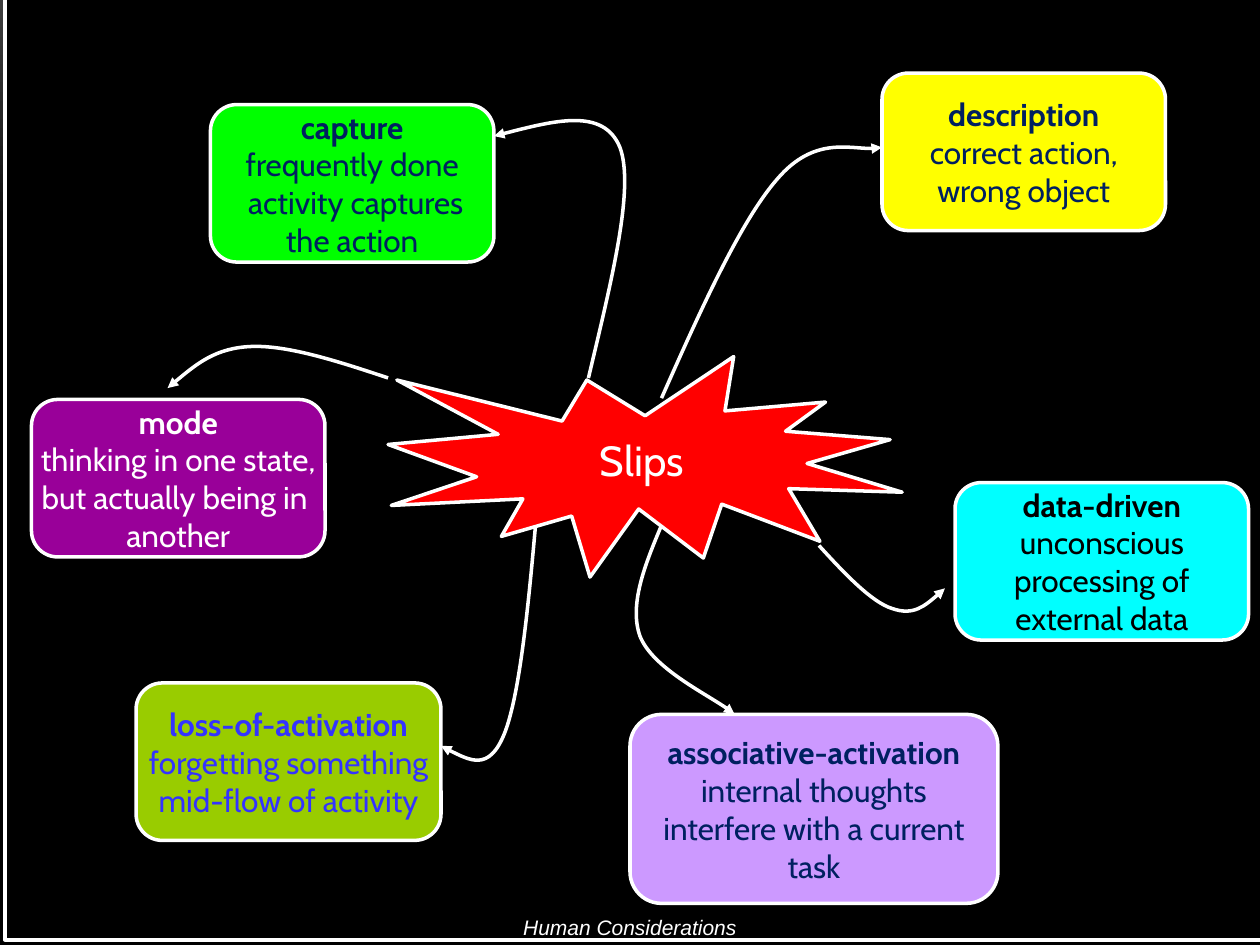
from dataclasses import dataclass

from lxml.etree import SubElement
from pptx import Presentation
from pptx.dml.color import RGBColor
from pptx.enum.shapes import MSO_SHAPE as Shape
from pptx.enum.text import MSO_ANCHOR as Anchor, PP_ALIGN as Align
from pptx.oxml.ns import qn
from pptx.util import Inches, Pt


@dataclass(frozen=True)
class Theme:
    white: str = "FFFFFF"
    black: str = "000000"
    charcoal: str = "3F3F3F"
    red: str = "FF0000"
    green: str = "00FF00"
    yellow: str = "FFFF00"
    cyan: str = "00FFFF"
    lilac: str = "CC99FF"
    olive: str = "99CC00"
    purple: str = "990099"
    navy: str = "002060"
    blue: str = "3333FF"
    main_font: str = "Cabin"
    footer_font: str = "Arial"
    center_size: int = 24
    box_size: int = 18
    footer_size: int = 12
    line_width: int = 2


class SlideBuilder:
    def __init__(self, slide, theme):
        self.slide = slide
        self.theme = theme

    def background(self):
        fill = self.slide.background.fill
        fill.gradient()
        fill.gradient_angle = 270
        colors = (self.theme.charcoal, self.theme.black)
        for stop, color, position in zip(fill.gradient_stops, colors, (0, 0.31)):
            stop.color.rgb = RGBColor.from_string(color)
            stop.position = position

    def outline(self, shape):
        shape.shadow.inherit = False
        shape.line.color.rgb = RGBColor.from_string(self.theme.white)
        shape.line.width = Pt(self.theme.line_width)

    def panel(self, shapes, kind, bounds, fill):
        shape = shapes.add_shape(kind, *map(Inches, bounds))
        self.outline(shape)
        shape.fill.solid()
        shape.fill.fore_color.rgb = RGBColor.from_string(fill)
        return shape

    def label(self, shape, text, font, size, color, heading=False, italic=False, wrap=False):
        frame = shape.text_frame
        frame.text = text
        frame.word_wrap = wrap
        frame.vertical_anchor = Anchor.MIDDLE
        for index, paragraph in enumerate(frame.paragraphs):
            paragraph.alignment = Align.CENTER
            for run in paragraph.runs:
                run.font.name = font
                run.font.size = Pt(size)
                run.font.bold = heading and index == 0
                run.font.italic = italic
                run.font.color.rgb = RGBColor.from_string(color)

    def starburst(self, bounds, text):
        theme = self.theme
        shape = self.panel(self.slide.shapes, Shape.EXPLOSION1, bounds, theme.red)
        self.label(shape, text, theme.main_font, theme.center_size, theme.white)

    def curved_arrow(self, shapes, points):
        start, *rest = [(Inches(x), Inches(y)) for x, y in points]
        builder = shapes.build_freeform(*start, scale=1.0)
        builder.add_line_segments(rest, close=False)
        shape = builder.convert_to_shape()
        self.outline(shape)
        shape.fill.background()
        outline = next(shape.element.iter(qn("a:ln")))
        SubElement(outline, qn("a:tailEnd"), type="triangle")
        curve_path = next(shape.element.iter(qn("a:path")))
        segments = curve_path.findall(qn("a:lnTo"))
        for first in range(0, len(segments), 3):
            curve = SubElement(curve_path, qn("a:cubicBezTo"))
            for segment in segments[first:first + 3]:
                curve.append(segment[0])
                curve_path.remove(segment)

    def slip(self, bounds, fill, color, text, points):
        theme = self.theme
        shapes = self.slide.shapes.add_group_shape().shapes
        self.curved_arrow(shapes, points)
        box = self.panel(shapes, Shape.ROUNDED_RECTANGLE, bounds, fill)
        self.label(box, text, theme.main_font, theme.box_size, color, heading=True)

    def footer(self, bounds, text):
        theme = self.theme
        box = self.slide.shapes.add_textbox(*map(Inches, bounds))
        self.label(box, text, theme.footer_font, theme.footer_size, theme.white,
                   italic=True, wrap=True)


def main():
    theme = Theme()
    slips = [
        ((1.67, 0.83, 2.25, 1.25), theme.green, theme.navy,
         "capture\nfrequently done\n activity captures\nthe action",
         [(4.67, 3), (4.85, 2.24), (5.04, 1.49), (4.92, 1.17),
          (4.79, 0.85), (4.35, 0.97), (3.92, 1.08)]),
        ((7, 0.58, 2.25, 1.25), theme.yellow, theme.navy,
         "description\ncorrect action,\nwrong object",
         [(5.25, 3.16), (5.56, 2.46), (5.88, 1.75), (6.17, 1.42),
          (6.46, 1.08), (6.85, 1.21), (7, 1.17)]),
        ((7.58, 3.83, 2.33, 1.25), theme.cyan, theme.black,
         "data-driven\nunconscious\nprocessing of\nexternal data",
         [(6.5, 4.33), (6.71, 4.56), (6.92, 4.78), (7.08, 4.83),
          (7.25, 4.89), (7.38, 4.78), (7.5, 4.67)]),
        ((5, 5.67, 2.92, 1.5), theme.lilac, theme.navy,
         "associative-activation\ninternal thoughts\ninterfere with a current\ntask",
         [(5.25, 4.17), (5.12, 4.48), (4.99, 4.8), (5.08, 5.05),
          (5.18, 5.3), (5.71, 5.56), (5.83, 5.67)]),
        ((1.08, 5.42, 2.42, 1.25), theme.olive, theme.blue,
         "loss-of-activation\nforgetting something\nmid-flow of activity",
         [(4.25, 4.17), (4.19, 4.85), (4.12, 5.54), (4, 5.83),
          (3.88, 6.12), (3.69, 6.02), (3.5, 5.92)]),
        ((0.25, 3.17, 2.33, 1.25), theme.purple, theme.white,
         "mode\nthinking in one state,\nbut actually being in \nanother",
         [(3.08, 3), (2.69, 2.87), (2.29, 2.74), (2, 2.75),
          (1.71, 2.76), (1.52, 2.92), (1.33, 3.08)]),
    ]
    presentation = Presentation()
    presentation.slide_width = Inches(10)
    presentation.slide_height = Inches(7.5)
    slide = presentation.slides.add_slide(presentation.slide_layouts[6])
    builder = SlideBuilder(slide, theme)
    builder.background()
    builder.panel(slide.shapes, Shape.RECTANGLE, (0.04, -0.04, 10, 7.5), theme.black)
    builder.starburst((3.08, 2.83, 4.08, 1.75), "Slips")
    for slip in slips:
        builder.slip(*slip)
    builder.footer((0, 7.21, 10, 0.3), "Human Considerations")
    presentation.save("out.pptx")


if __name__ == "__main__":
    main()
